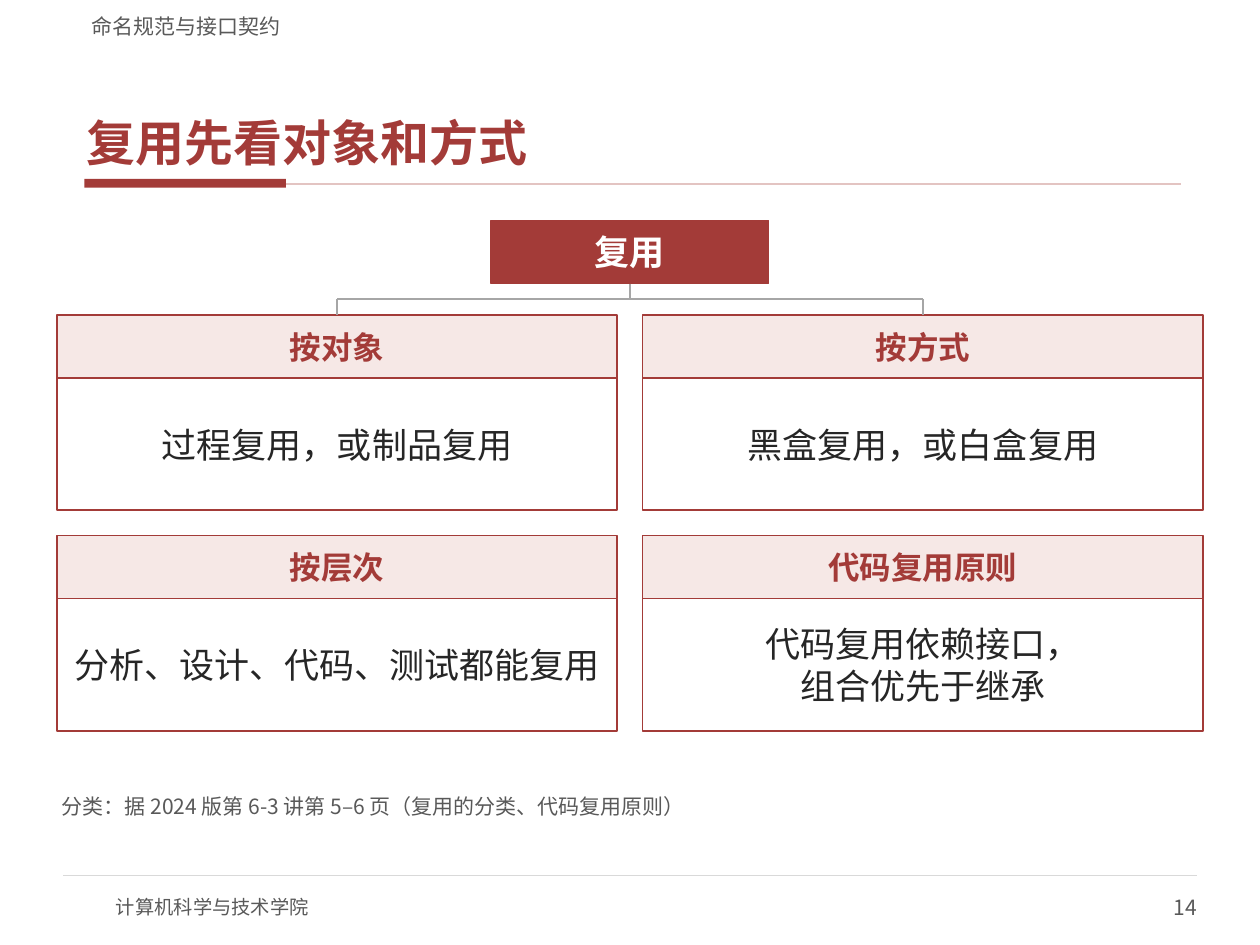
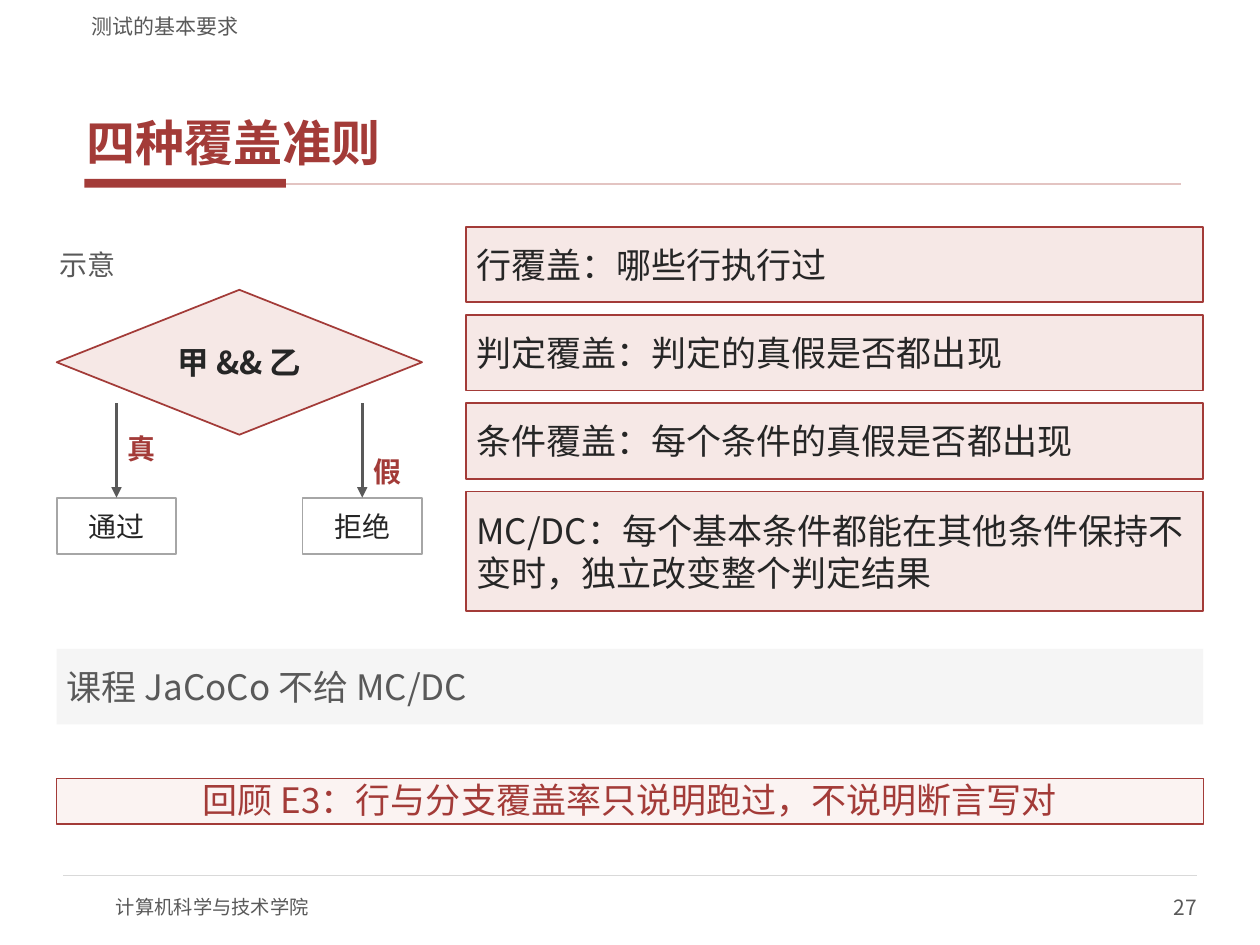
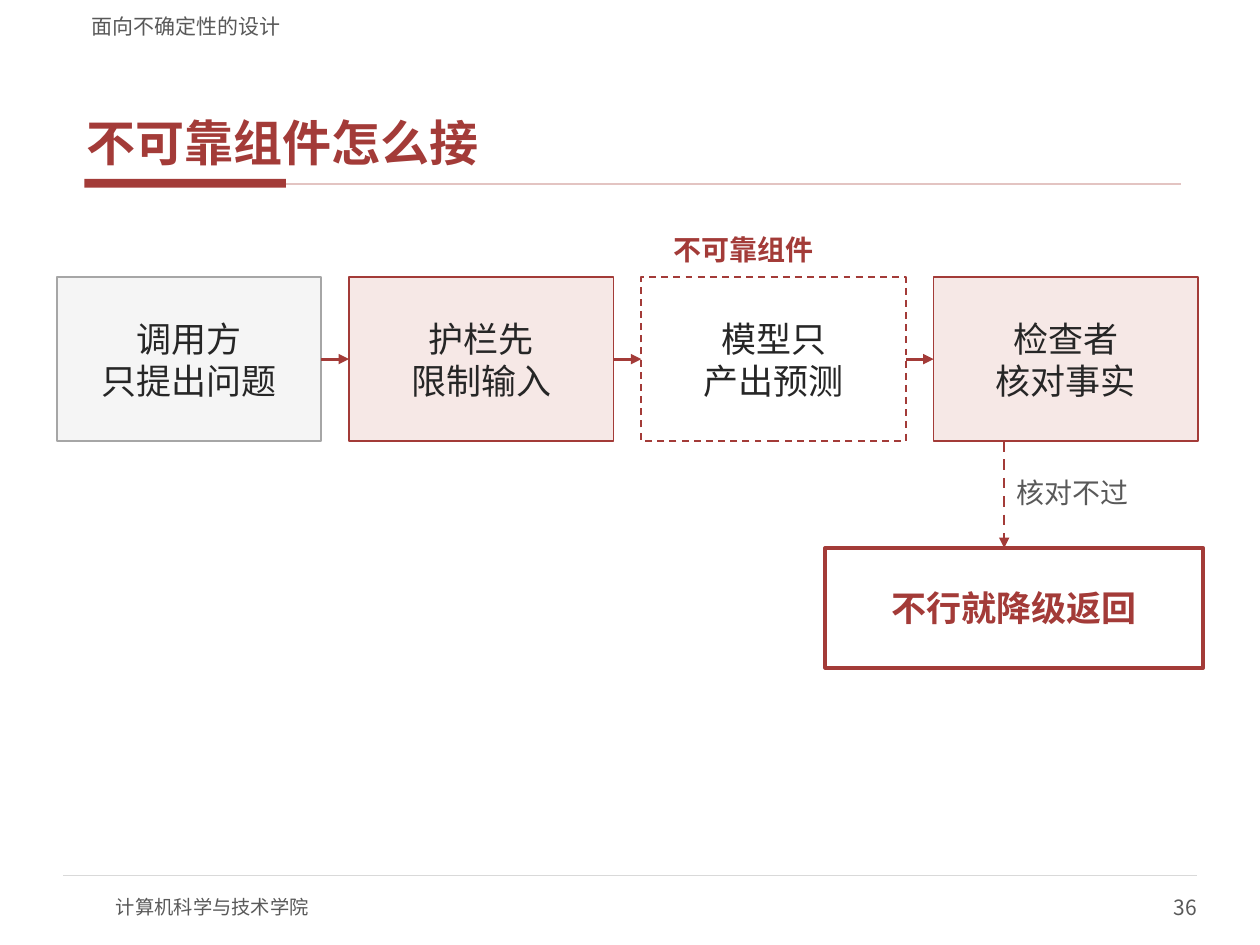
import pptx
import pptx.dml.color
import pptx.enum.dml
import pptx.enum.shapes
import pptx.enum.text
import pptx.oxml.ns
import pptx.util
from lxml import etree

Pt = pptx.util.Pt
RGBColor = pptx.dml.color.RGBColor
ALIGN = pptx.enum.text.PP_ALIGN
ANCHOR = pptx.enum.text.MSO_ANCHOR
SHAPE = pptx.enum.shapes.MSO_SHAPE
DASH = pptx.enum.dml.MSO_LINE.DASH

FONT = "Noto Sans CJK SC"
RED = RGBColor(0xA3, 0x3B, 0x38)
ROSE = RGBColor(0xF6, 0xE8, 0xE6)
BLUSH = RGBColor(0xFB, 0xF3, 0xF2)
PINK_RULE = RGBColor(0xE3, 0xC4, 0xC2)
INK = RGBColor(0x26, 0x26, 0x26)
SLATE = RGBColor(0x59, 0x59, 0x59)
GREY = RGBColor(0xA6, 0xA6, 0xA6)
GREY_RULE = RGBColor(0xD9, 0xD9, 0xD9)
MIST = RGBColor(0xF5, 0xF5, 0xF5)
WHITE = RGBColor(0xFF, 0xFF, 0xFF)

LEFT, WIDTH = 32.4, 655.2
TITLE_BOX = (45.36, 23.76, 630, 75.6)
CHAPTER_BOX = (45.36, 2.88, 630, 19.44)
TOP, BOTTOM, LEFT_SIDE, RIGHT_SIDE = 0, 2, 1, 3


def set_all(target, values):
    """Set every attribute in values on target."""
    for attribute, value in values.items():
        setattr(target, attribute, value)


def add_drawing(parent, tag, **attributes):
    """Append a DrawingML element to parent."""
    return etree.SubElement(parent, pptx.oxml.ns.qn(tag), attributes)


def write(shape, text, size=20, color=INK, bold=False, align=ALIGN.LEFT,
          anchor=ANCHOR.MIDDLE, inset=(5.76, 2.88), spacing=None):
    """Fill a shape with one formatted paragraph."""
    side, edge = map(Pt, inset)
    frame = shape.text_frame
    set_all(frame, dict(word_wrap=True, auto_size=pptx.enum.text.MSO_AUTO_SIZE.NONE,
                        vertical_anchor=anchor, margin_left=side, margin_right=side,
                        margin_top=edge, margin_bottom=edge))
    paragraph = frame.paragraphs[0]
    paragraph.text = text
    set_all(paragraph, dict(alignment=align, **(spacing or {})))
    for run in paragraph.runs:
        set_all(run.font, dict(size=Pt(size), bold=bold, name=FONT))
        run.font.color.rgb = color
        add_drawing(run.font._element, "a:ea", typeface=FONT)


def add_label(slide, box, text, **style):
    """Add a text box with tight insets."""
    label = slide.shapes.add_textbox(*map(Pt, box))
    write(label, text, **{"inset": (1.44, 0.72), **style})
    return label


def add_box(slide, box, fill, text="", line=RED, weight=1, dash=None,
            kind=SHAPE.RECTANGLE, **style):
    """Add a filled preset shape with optional outline and text."""
    panel = slide.shapes.add_shape(kind, *map(Pt, box))
    panel.shadow.inherit = False
    panel.fill.solid()
    panel.fill.fore_color.rgb = fill
    if line is None:
        panel.line.fill.background()
    else:
        panel.line.color.rgb = line
        set_all(panel.line, dict(width=Pt(weight), dash_style=dash))
    if text:
        write(panel, text, **{"align": ALIGN.CENTER, **style})
    return panel


def add_line(slide, start, end, color, weight=1, dash=None, arrow=False,
             begin=None, finish=None):
    """Add a straight connector, joined to shape sides where given."""
    line = slide.shapes.add_connector(
        pptx.enum.shapes.MSO_CONNECTOR.STRAIGHT, *map(Pt, (*start, *end)))
    line.line.color.rgb = color
    set_all(line.line, dict(width=Pt(weight), dash_style=dash))
    properties = line.element.spPr
    if arrow:
        add_drawing(properties.find(pptx.oxml.ns.qn("a:ln")), "a:tailEnd", type="triangle")
    add_drawing(properties, "a:effectLst")
    if begin:
        line.begin_connect(*begin)
    if finish:
        line.end_connect(*finish)
    return line


def furnish_layout(layout, slide):
    """Draw the shared rules and footer and move them to the layout."""
    for holder in list(layout.placeholders)[1:]:
        holder.element.getparent().remove(holder.element)
    furniture = [
        add_box(slide, (48.24, 102.24, 115.2, 5.04), RED, line=None),
        add_line(slide, (163.44, 105.12), (674.64, 105.12), PINK_RULE),
        add_line(slide, (36, 500.4), (684, 500.4), GREY_RULE, 0.75),
        add_label(slide, (66.24, 504, 288, 28.8), "计算机科学与技术学院",
                  size=11, color=SLATE, inset=(0, 0)),
    ]
    for part in furniture:
        layout.shapes.element.append(part.element)


def add_heading(slide, chapter, title, number):
    """Write the title, chapter line and page number."""
    heading = slide.shapes.title
    set_all(heading, dict(zip(("left", "top", "width", "height"), map(Pt, TITLE_BOX))))
    write(heading, title, size=28, color=RED, bold=True, anchor=ANCHOR.BOTTOM,
          inset=(4.32, 1.44), spacing=dict(space_after=Pt(2)))
    add_label(slide, CHAPTER_BOX, chapter, size=12, color=SLATE,
              anchor=ANCHOR.BOTTOM, inset=(7.2, 0))
    add_label(slide, (540, 504, 144, 28.8), str(number), size=12, color=SLATE,
              align=ALIGN.RIGHT, inset=(0, 0))


def add_card(slide, box, heading, body):
    """Add a card with a tinted head and return the head."""
    left, top, width, height = box
    head_height = 36
    head = add_box(slide, (left, top, width, head_height), ROSE, heading,
                   size=18, color=RED, bold=True)
    add_box(slide, (left, top + head_height, width, height - head_height), WHITE, body)
    return head


def add_reuse_tree(slide, box, root_text, cards):
    """Add a root box over a two-column grid of cards."""
    left, top, width, height = box
    gap, root_width, root_height, drop = 14.4, 158.4, 36, 18
    card_width = (width - gap) / 2
    card_height = (height - root_height - drop - gap) / 2
    center, grid_top = left + width / 2, top + root_height + drop
    fork = grid_top - drop / 2
    root = add_box(slide, (center - root_width / 2, top, root_width, root_height),
                   RED, root_text, color=WHITE, bold=True)
    heads = []
    for index, (heading, body) in enumerate(cards):
        row, column = divmod(index, 2)
        card_box = (left + column * (card_width + gap),
                    grid_top + row * (card_height + gap), card_width, card_height)
        heads.append(add_card(slide, card_box, heading, body))
    add_line(slide, (center, top + root_height), (center, fork), GREY,
             begin=(root, BOTTOM))
    branches = [left + card_width / 2, left + width - card_width / 2]
    add_line(slide, (branches[0], fork), (branches[1], fork), GREY)
    for branch, head in zip(branches, heads):
        add_line(slide, (branch, fork), (branch, grid_top), GREY, finish=(head, TOP))


def add_decision(slide, box, caption, condition, outcomes):
    """Add a captioned decision diamond with an outcome box on each side."""
    left, top, width, height = box
    diamond_top, arrow_top = top + 32.4, top + 97.2
    outcome_width, outcome_height = 68.4, 32.4
    outcome_top = top + height - outcome_height
    add_label(slide, (left, top, width, 36), caption, size=16, color=SLATE)
    add_box(slide, (left, diamond_top, width, 82.8), ROSE, condition,
            kind=SHAPE.DIAMOND, size=18, bold=True)
    for index, (answer, outcome, answer_drop) in enumerate(outcomes):
        outcome_left = left + index * (width - outcome_width)
        center = outcome_left + outcome_width / 2
        target = add_box(slide, (outcome_left, outcome_top, outcome_width, outcome_height),
                         WHITE, outcome, line=GREY, size=16)
        add_line(slide, (center, arrow_top), (center, outcome_top), SLATE, 1.75,
                 arrow=True, finish=(target, TOP))
        add_label(slide, (center + 5, arrow_top + answer_drop, 43.2, 23.04), answer,
                  size=16, color=RED, bold=True)


def add_criteria(slide, box, criteria):
    """Stack one-line criteria and let the last fill the remaining height."""
    left, top, width, height = box
    row_height, pitch = 43.2, 50.4
    last = len(criteria) - 1
    for index, criterion in enumerate(criteria):
        offset = index * pitch
        add_box(slide, (left, top + offset, width,
                        height - offset if index == last else row_height),
                ROSE, criterion, align=ALIGN.LEFT)


def add_pipeline(slide, box, stages):
    """Add a row of stages joined by arrows."""
    left, top, width, height = box
    stage_width = 151.2
    pitch = (width - stage_width) / (len(stages) - 1)
    middle = top + height / 2
    previous = None
    for index, (text, look) in enumerate(stages):
        stage_left = left + index * pitch
        stage = add_box(slide, (stage_left, top, stage_width, height), text=text, **look)
        if previous:
            add_line(slide, (stage_left - pitch + stage_width, middle),
                     (stage_left, middle), RED, 1.75, arrow=True,
                     begin=(previous, RIGHT_SIDE), finish=(stage, LEFT_SIDE))
        previous = stage


def add_fallback(slide, box, reason, result):
    """Add a dashed arrow with its reason above a result box."""
    left, top, width, height = box
    arrow_left, result_top = left + 102.24, top + 61.2
    add_line(slide, (arrow_left, top), (arrow_left, result_top), RED, 1.5,
             dash=DASH, arrow=True)
    add_label(slide, (left + 108, top + 18, 86.4, 23.04), reason, size=16, color=SLATE)
    add_box(slide, (left, result_top, width, height - 61.2), WHITE, result,
            weight=2.25, color=RED, bold=True)


def build_reuse(slide):
    """Fill the slide on kinds of reuse."""
    add_heading(slide, "命名规范与接口契约", "复用先看对象和方式", 14)
    add_reuse_tree(slide, (LEFT, 126, WIDTH, 291.6), "复用", [
        ("按对象", "过程复用，或制品复用"),
        ("按方式", "黑盒复用，或白盒复用"),
        ("按层次", "分析、设计、代码、测试都能复用"),
        ("代码复用原则", "代码复用依赖接口，\n组合优先于继承"),
    ])
    add_label(slide, (LEFT, 453.6, WIDTH, 15.84),
              "分类：据 2024 版第 6-3 讲第 5–6 页（复用的分类、代码复用原则）",
              size=12, color=SLATE, anchor=ANCHOR.BOTTOM, inset=(2.88, 1.44))


def build_coverage(slide):
    """Fill the slide on coverage criteria."""
    add_heading(slide, "测试的基本要求", "四种覆盖准则", 27)
    add_decision(slide, (LEFT, 133.2, 208.8, 183.6), "示意", "甲 && 乙",
                 [("真", "通过", 14.4), ("假", "拒绝", 27.36)])
    add_criteria(slide, (266.4, 129.6, 421.2, 219.6), [
        "行覆盖：哪些行执行过",
        "判定覆盖：判定的真假是否都出现",
        "条件覆盖：每个条件的真假是否都出现",
        "MC/DC：每个基本条件都能在其他条件保持不变时，独立改变整个判定结果",
    ])
    add_box(slide, (LEFT, 370.8, WIDTH, 43.2), MIST, "课程 JaCoCo 不给 MC/DC",
            line=None, color=SLATE, align=ALIGN.LEFT)
    add_box(slide, (LEFT, 444.96, WIDTH, 25.92), BLUSH,
            "回顾 E3：行与分支覆盖率只说明跑过，不说明断言写对",
            weight=0.75, color=RED, anchor=ANCHOR.TOP, inset=(0, 0))


def build_unreliable(slide):
    """Fill the slide on wiring in an unreliable component."""
    add_heading(slide, "面向不确定性的设计", "不可靠组件怎么接", 36)
    add_pipeline(slide, (LEFT, 158.4, 652.32, 93.6), [
        ("调用方\n只提出问题", dict(fill=MIST, line=GREY)),
        ("护栏先\n限制输入", dict(fill=ROSE)),
        ("模型只\n产出预测", dict(fill=WHITE, dash=DASH)),
        ("检查者\n核对事实", dict(fill=ROSE)),
    ])
    add_label(slide, (367.2, 131.04, 115.2, 23.04), "不可靠组件",
              size=16, color=RED, bold=True, align=ALIGN.CENTER)
    add_fallback(slide, (471.6, 252, 216, 129.6), "核对不过", "不行就降级返回")


def main():
    """Build the deck and save it."""
    deck = pptx.Presentation()
    set_all(deck, dict(slide_width=Pt(720), slide_height=Pt(540)))
    layout = deck.slide_layouts.get_by_name("Title Only")
    builders = (build_reuse, build_coverage, build_unreliable)
    slides = [deck.slides.add_slide(layout) for _ in builders]
    furnish_layout(layout, slides[0])
    for build, slide in zip(builders, slides):
        build(slide)
    deck.save("out.pptx")


if __name__ == "__main__":
    main()
